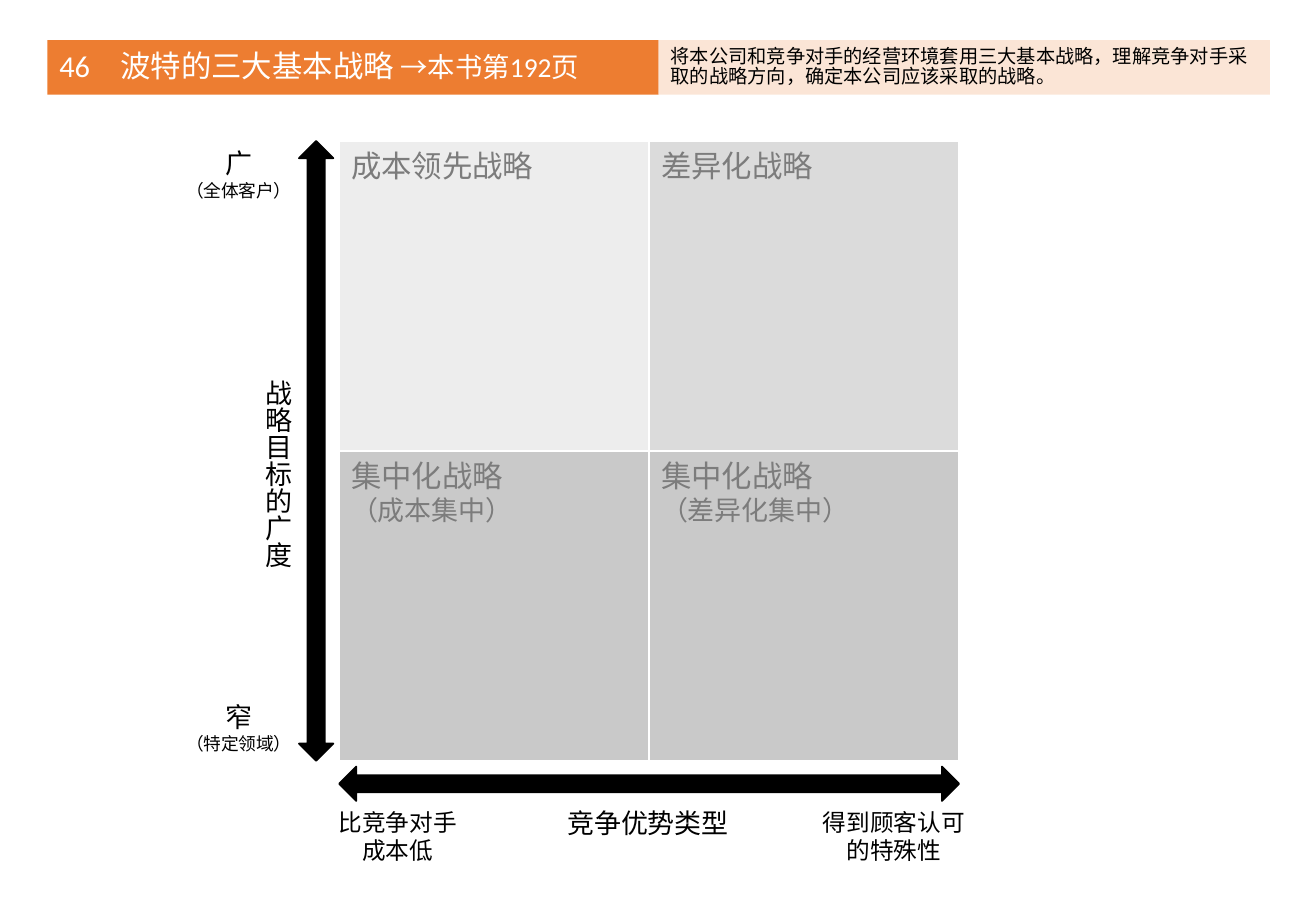
"""Build the slide on Porter's three generic strategies."""
from pptx import Presentation
from pptx.dml.color import RGBColor
from pptx.enum.shapes import MSO_SHAPE
from pptx.enum.text import MSO_ANCHOR, PP_ALIGN
from pptx.util import Cm, Pt

RECTANGLE = MSO_SHAPE.RECTANGLE
VERTICAL_ARROW, HORIZONTAL_ARROW = MSO_SHAPE.UP_DOWN_ARROW, MSO_SHAPE.LEFT_RIGHT_ARROW
TOP, MIDDLE = MSO_ANCHOR.TOP, MSO_ANCHOR.MIDDLE
LEFT, CENTER = PP_ALIGN.LEFT, PP_ALIGN.CENTER
FONT = "Calibri"

COLORS = {
    "orange": "ED7D31", "peach": "FBE5D6", "white": "FFFFFF", "black": "000000",
    "cost": "EDEDED", "difference": "DBDBDB", "focus": "C9C9C9", "label": "7C7C7C",
}

TITLE = [("46　波特的三大基本战略", 18), (" ", 18), ("→本书第192页", 16.2)]
SUMMARY = [("将本公司和竞争对手的经营环境套用三大基本战略，理解竞争对手采取的战略方向，"
            "确定本公司应该采取的战略。", 11.4)]
HEADERS = [(TITLE, "orange", "white"), (SUMMARY, "peach", "black")]

STRATEGIES = [
    [("cost", [[("成本领先战略", 18)]]), ("difference", [[("差异化战略", 18)]])],
    [("focus", [[("集中化战略", 18)], [("（成本集中）", 16)]]),
     ("focus", [[("集中化战略", 18)], [("（差异化集中）", 16)]])],
]

AXIS_LABELS = [
    ((3.61, 2.95, 2.77, 1.4), CENTER, False, [[("广", 16)], [("（全体客户）", 10.5)]]),
    ((3.61, 14.53, 2.77, 1.4), CENTER, False, [[("窄", 16)], [("（特定领域）", 10.5)]]),
    ((11.61, 16.74, 3.94, 0.94), LEFT, False, [[("竞争优势类型", 16)]]),
    ((6.55, 16.76, 3.53, 1.45), CENTER, True, [[("比竞争对手", 14)], [("成本低", 14)]]),
    ((16.92, 16.76, 3.53, 1.45), CENTER, True, [[("得到顾客认可的特殊性", 14)]]),
]
VERTICAL_LABEL = ((5.08, 7.7, 1.19, 4.72), LEFT, True, [[("战略目标的广度", 16)]])

HEADER_LEFT, HEADER_TOP, HEADER_WIDTH, HEADER_HEIGHT = 0.99, 0.84, 12.78, 1.14
GRID_LEFT, GRID_TOP, CELL = 7.09, 2.95, 6.48
ARROW_WIDTH, ARROW_GAP = 0.72, 0.12


def color(name):
    return RGBColor.from_string(COLORS[name])


def write(shape, paragraphs, font_color, alignment=LEFT, anchor=TOP, wrap=True, spacing=1.0):
    frame = shape.text_frame
    frame.word_wrap = wrap
    frame.vertical_anchor = anchor
    for index, runs in enumerate(paragraphs):
        paragraph = frame.add_paragraph() if index else frame.paragraphs[0]
        paragraph.alignment = alignment
        paragraph.line_spacing = spacing
        for text, size in runs:
            run = paragraph.add_run()
            run.text = text
            run.font.name = FONT
            run.font.size = Pt(size)
            run.font.color.rgb = color(font_color)


def add_block(slide, kind, box, fill, line=None):
    shape = slide.shapes.add_shape(kind, *map(Cm, box))
    shape.shadow.inherit = False
    shape.fill.solid()
    shape.fill.fore_color.rgb = color(fill)
    if line:
        shape.line.color.rgb = color(line)
        shape.line.width = Pt(1)
    else:
        shape.line.fill.background()
    return shape


def add_label(slide, box, alignment, wrap, paragraphs):
    shape = slide.shapes.add_textbox(*map(Cm, box))
    write(shape, paragraphs, "black", alignment, wrap=wrap)
    return shape


def main():
    presentation = Presentation()
    presentation.slide_width, presentation.slide_height = Cm(27.51), Cm(19.05)
    slide = presentation.slides.add_slide(presentation.slide_layouts[6])

    for index, (runs, fill, font_color) in enumerate(HEADERS):
        box = (HEADER_LEFT + index * HEADER_WIDTH, HEADER_TOP, HEADER_WIDTH, HEADER_HEIGHT)
        header = add_block(slide, RECTANGLE, box, fill)
        write(header, [runs], font_color, anchor=MIDDLE, spacing=0.9)

    side = 2 * CELL
    arrow_left = GRID_LEFT - ARROW_GAP - ARROW_WIDTH
    arrow_top = GRID_TOP + side + ARROW_GAP
    add_block(slide, VERTICAL_ARROW, (arrow_left, GRID_TOP, ARROW_WIDTH, side), "black", "black")
    add_block(slide, HORIZONTAL_ARROW, (GRID_LEFT, arrow_top, side, ARROW_WIDTH), "black", "black")

    for row, strategies in enumerate(STRATEGIES):
        for column, (fill, paragraphs) in enumerate(strategies):
            box = (GRID_LEFT + column * CELL, GRID_TOP + row * CELL, CELL, CELL)
            write(add_block(slide, RECTANGLE, box, fill, "white"), paragraphs, "label")

    for label in AXIS_LABELS:
        add_label(slide, *label)
    vertical_label = add_label(slide, *VERTICAL_LABEL)
    vertical_label.element.txBody.bodyPr.set("vert", "eaVert")

    presentation.save("out.pptx")


if __name__ == "__main__":
    main()
